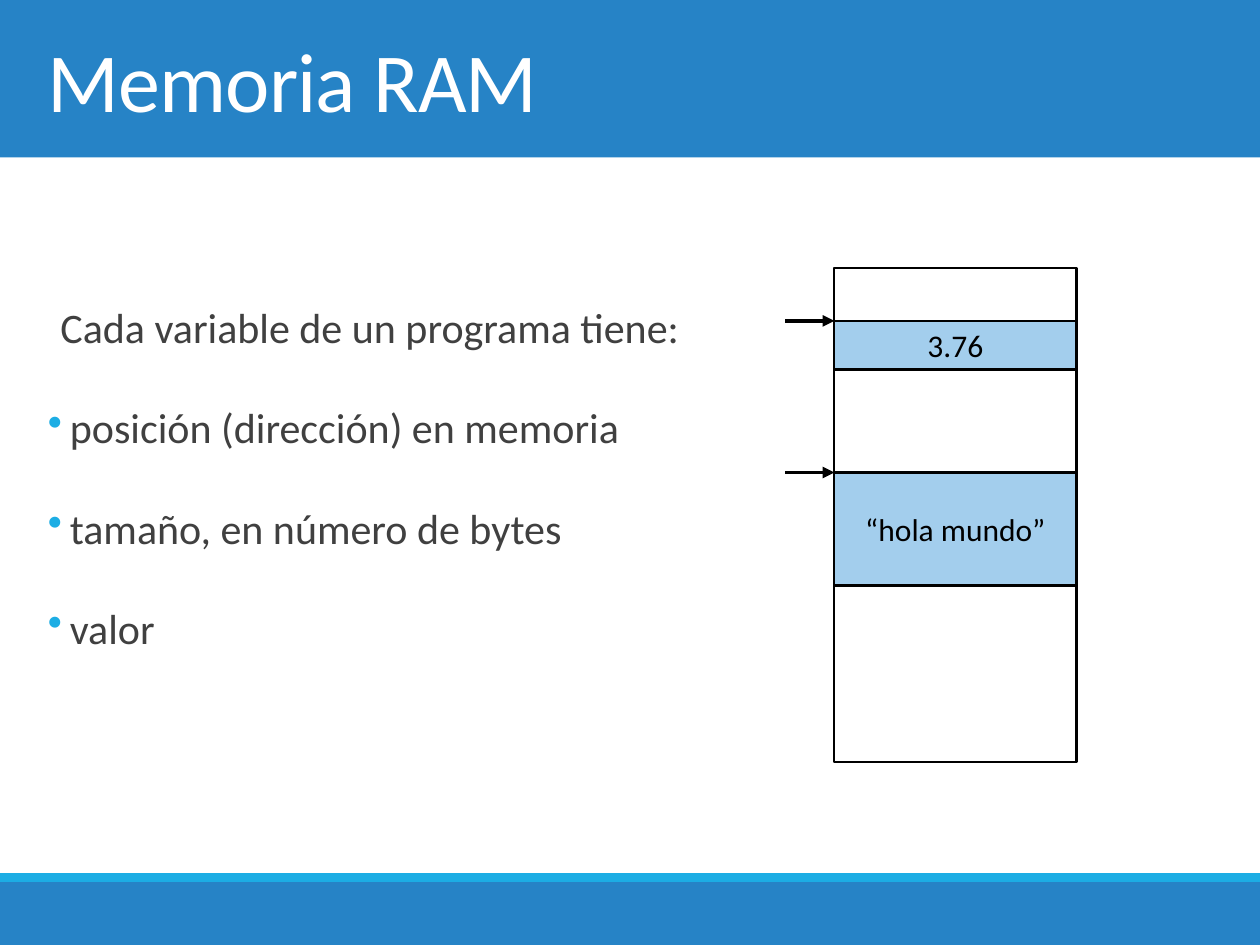
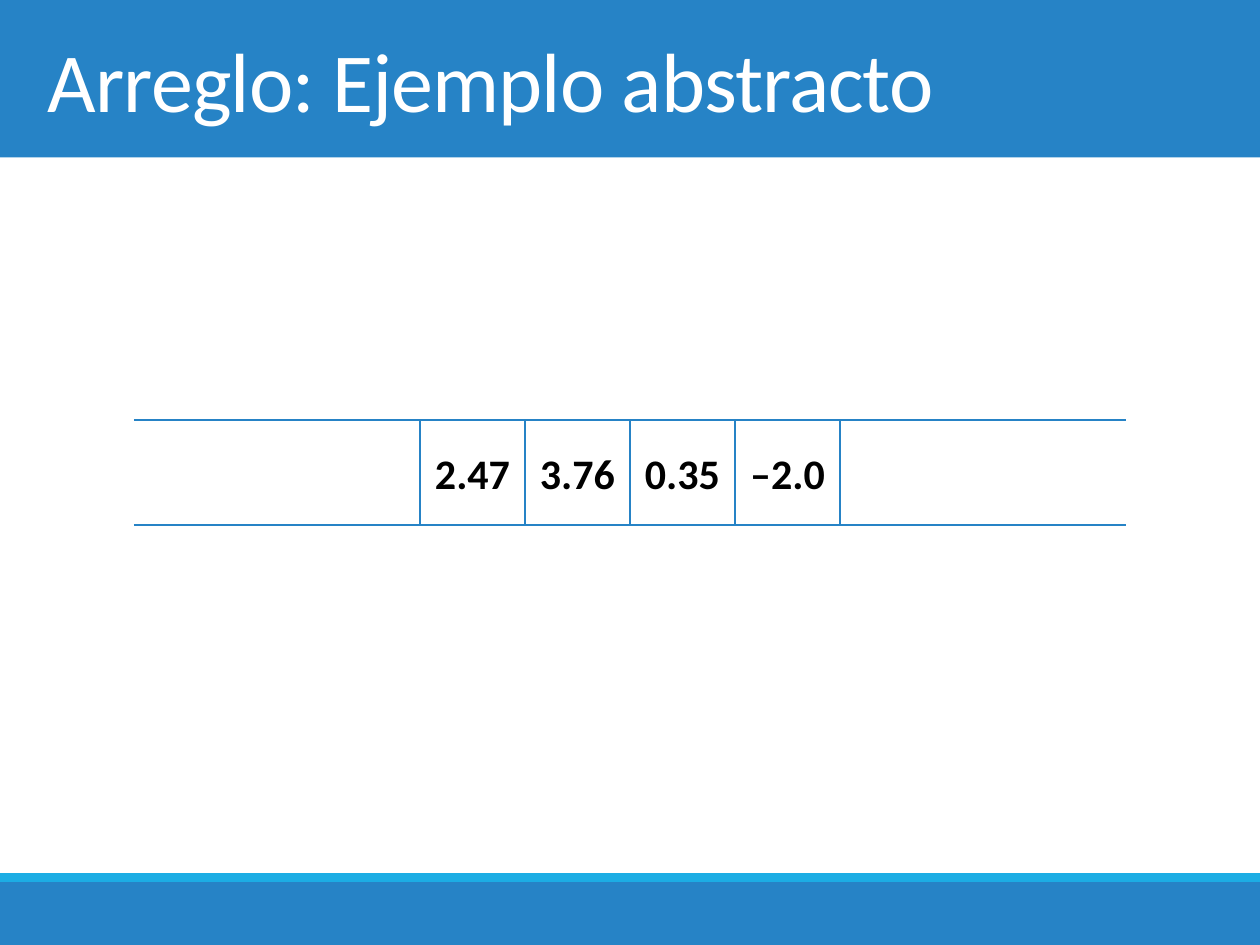
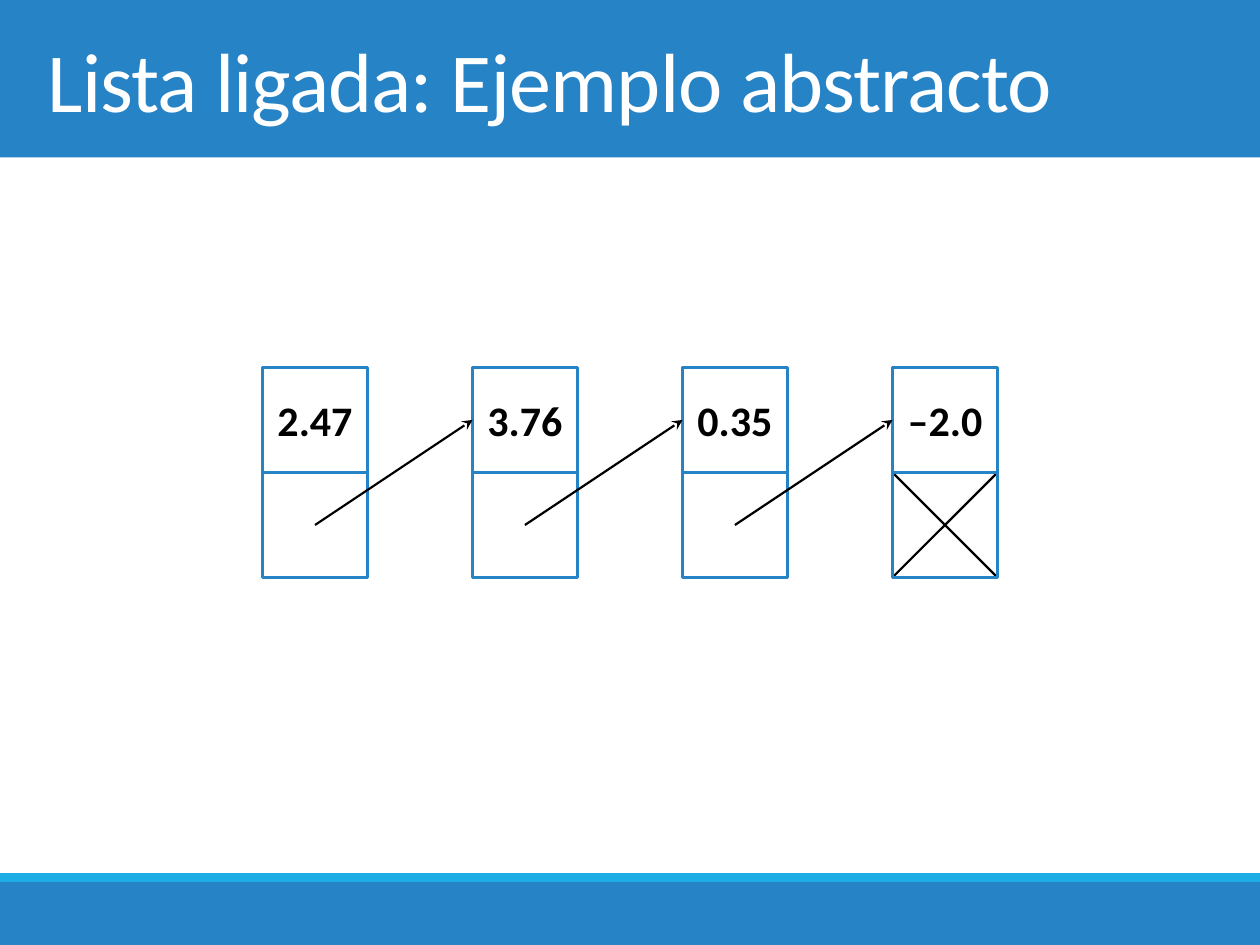
import pptx
import pptx.util
import pptx.dml.color
import pptx.enum.shapes
import pptx.enum.text
import pptx.oxml
import pptx.oxml.ns
import lxml.etree

Pt = pptx.util.Pt
RGB = pptx.dml.color.RGBColor
BLUE = RGB(0x26, 0x83, 0xC6)
CYAN = RGB(0x1C, 0xAD, 0xE4)
PALE = RGB(0xA3, 0xCE, 0xED)
GRAY = RGB(0x40, 0x40, 0x40)
BLACK = RGB(0, 0, 0)
WHITE = RGB(0xFF, 0xFF, 0xFF)
FONT = "Calibri"
RECT = pptx.enum.shapes.MSO_SHAPE.RECTANGLE
LINE = pptx.enum.shapes.MSO_CONNECTOR.STRAIGHT
MIDDLE = pptx.enum.text.MSO_ANCHOR.MIDDLE
CENTER = pptx.enum.text.PP_ALIGN.CENTER
qn = pptx.oxml.ns.qn


def add_box(shapes, x, y, w, h, fill=None, edge=None, text="", size=18, bold=False):
    box = shapes.add_shape(RECT, Pt(x), Pt(y), Pt(w), Pt(h))
    box.shadow.inherit = False
    if fill is None:
        box.fill.background()
    else:
        box.fill.solid()
        box.fill.fore_color.rgb = fill
    if edge is None:
        box.line.fill.background()
    else:
        box.line.color.rgb = edge
        box.line.width = Pt(1.25)
    if text:
        box.text_frame.vertical_anchor = MIDDLE
        para = box.text_frame.paragraphs[0]
        para.text = text
        para.alignment = CENTER
        para.font.name = FONT
        para.font.size = Pt(size)
        para.font.bold = bold
        para.font.color.rgb = BLACK


def add_line(shapes, x1, y1, x2, y2, color=BLACK, width=1.25, head=None):
    line = shapes.add_connector(LINE, Pt(x1), Pt(y1), Pt(x2), Pt(y2))
    line.line.color.rgb = color
    line.line.width = Pt(width)
    if head:
        stroke = line.line._get_or_add_ln()
        lxml.etree.SubElement(stroke, qn("a:tailEnd")).set("type", head)
    lxml.etree.SubElement(line._element.spPr, qn("a:effectLst"))


deck = pptx.Presentation()
deck.slide_width = Pt(720)
deck.slide_height = Pt(540)

slides = []
for name in ["Memoria RAM", "Arreglo: Ejemplo abstracto", "Lista ligada: Ejemplo abstracto"]:
    slide = deck.slides.add_slide(deck.slide_layouts[6])
    for top, high, color in [(0, 90, BLUE), (504, 36, BLUE), (499, 5, CYAN)]:
        add_box(slide.shapes, 0, top, 720, high, color)
    title = slide.shapes.add_textbox(Pt(20.2), Pt(0), Pt(680), Pt(90)).text_frame
    title.word_wrap = True
    title.vertical_anchor = MIDDLE
    para = title.paragraphs[0]
    para.text = name
    para.font.name = FONT
    para.font.size = Pt(48)
    para.font.color.rgb = WHITE
    para.runs[0]._r.get_or_add_rPr().set("spc", "-50")
    slides.append(slide.shapes)

ram, array, chain = slides

body = ram.add_textbox(Pt(20.2), Pt(101.5), Pt(387.4), Pt(386)).text_frame
body.word_wrap = True
body.vertical_anchor = MIDDLE
body.margin_bottom = Pt(61.6)
points = [
    "Cada variable de un programa tiene:",
    "posición (dirección) en memoria",
    "tamaño, en número de bytes",
    "valor",
]
for i, text in enumerate(points):
    para = body.paragraphs[0] if i == 0 else body.add_paragraph()
    para.text = text
    para.line_spacing = 1.5
    para.space_before = Pt(12)
    para.space_after = Pt(2)
    props = para._p.get_or_add_pPr()
    if i == 0:
        props.set("marL", str(Pt(7.2)))
    else:
        props.set("marL", str(Pt(12.6)))
        props.set("indent", str(-Pt(12.6)))
        tint = lxml.etree.SubElement(props, qn("a:buClr"))
        lxml.etree.SubElement(tint, qn("a:srgbClr")).set("val", str(CYAN))
        lxml.etree.SubElement(props, qn("a:buChar")).set("char", "•")
    para.font.name = FONT
    para.font.size = Pt(24)
    para.font.color.rgb = GRAY

left = 476.8
add_box(ram, left, 153.2, 138.4, 282.2, WHITE, BLACK)
for top, high, text in [(183.4, 27.8, "3.76"), (270, 64.6, "“hola mundo”")]:
    add_box(ram, left, top, 138.4, high, PALE, BLACK, text)
    add_line(ram, left - 28.2, top, left, top, BLACK, 2.25, "triangle")

values = ["2.47", "3.76", "0.35", "–2.0"]
cell = 60

row = array.add_group_shape().shapes
for i, text in enumerate(values):
    add_box(row, 240 + i * cell, 240, cell, cell, WHITE, BLUE, text, 24, True)
for y in (240, 240 + cell):
    add_line(array, 76.5, y, 643.5, y, BLUE)

first, top, step = 150, 210, 2 * cell
mid = top + cell
last = first + 3 * step
add_line(chain, last, mid, last + cell, mid + cell)
add_line(chain, last, mid + cell, last + cell, mid)
for i, text in enumerate(values):
    x = first + i * step
    add_box(chain, x, top, cell, cell, WHITE, BLUE, text, 24, True)
    add_box(chain, x, mid, cell, cell, None, BLUE)
for i in range(3):
    x = first + i * step
    add_line(chain, x + cell / 2, mid + cell / 2, x + step, top + cell / 2, head="stealth")

deck.save("out.pptx")
